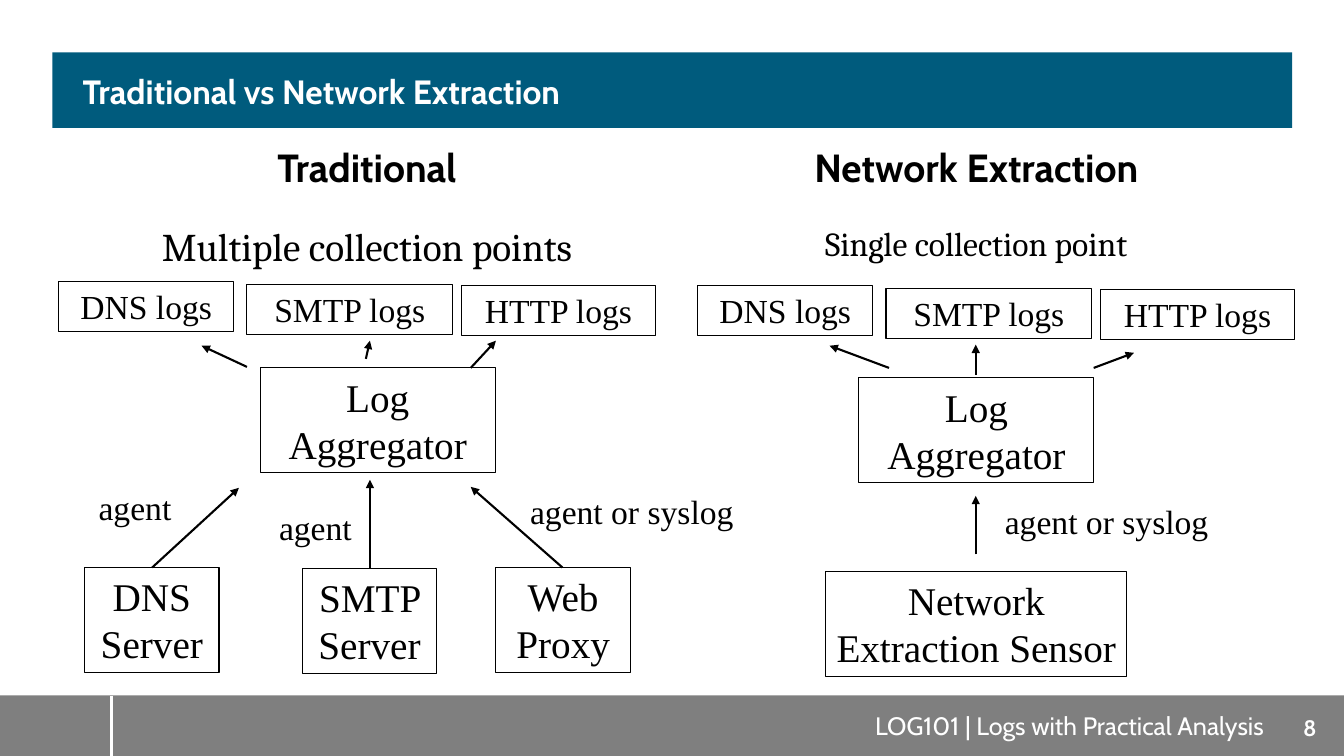
"""Build the slide that compares traditional log collection with network extraction."""
import dataclasses
import typing

import pptx
import pptx.dml.color
import pptx.enum.shapes
import pptx.enum.text
import pptx.oxml.ns
import pptx.oxml.xmlchemy
import pptx.util
from lxml import etree

WIDTH, HEIGHT = pptx.util.Inches(13.33), pptx.util.Inches(7.5)
COLUMNS, ROWS = 160, 90

BLACK = pptx.dml.color.RGBColor(0x00, 0x00, 0x00)
WHITE = pptx.dml.color.RGBColor(0xFF, 0xFF, 0xFF)
GRAY = pptx.dml.color.RGBColor(0x7F, 0x7F, 0x7F)
TEAL = pptx.dml.color.RGBColor(0x00, 0x5B, 0x7D)

RECTANGLE = pptx.enum.shapes.MSO_SHAPE.RECTANGLE
STRAIGHT = pptx.enum.shapes.MSO_CONNECTOR.STRAIGHT
ALIGN = pptx.enum.text.PP_ALIGN
ANCHOR = pptx.enum.text.MSO_ANCHOR
AUTO_SIZE = pptx.enum.text.MSO_AUTO_SIZE


class Area(typing.NamedTuple):
    """Place and size in grid columns and rows."""
    left: float
    top: float
    width: float
    height: float


class Arrow(typing.NamedTuple):
    """Start and end of an arrow in grid columns and rows."""
    from_column: float
    from_row: float
    to_column: float
    to_row: float


@dataclasses.dataclass(frozen=True)
class Style:
    """Look of a text."""
    font: str
    size: int
    color: pptx.dml.color.RGBColor = BLACK
    bold: bool = False
    align: ALIGN = ALIGN.CENTER
    anchor: ANCHOR = ANCHOR.TOP
    line_spacing: float = 1.0


@dataclasses.dataclass(frozen=True)
class Item:
    """Text in an area of the slide."""
    text: str
    area: Area
    style: Style


TITLE = Style("Cabin", 24, WHITE, True, ALIGN.LEFT, ANCHOR.MIDDLE, 0.9)
HEADING = Style("Cabin", 28, bold=True, line_spacing=0.9)
SUMMARY = Style("Cambria", 28, line_spacing=0.9)
SMALL_SUMMARY = dataclasses.replace(SUMMARY, size=24)
FOOTER = Style("Cabin", 18, WHITE, align=ALIGN.RIGHT)
NUMBER = Style("Cabin", 16, WHITE, True, anchor=ANCHOR.MIDDLE)
NODE = Style("Times New Roman", 28)
LOG = Style("Times New Roman", 24)
LABEL = dataclasses.replace(LOG, align=ALIGN.LEFT)

NODE_HEIGHT, LINE_HEIGHT = 12.48, 6
LEFT_COLUMN, LEFT_WIDTH = 8.64, 70.08
RIGHT_COLUMN, RIGHT_WIDTH = 81, 70.44
HEADING_ROW, HEADING_HEIGHT = 17.04, 7.8
SUMMARY_ROW, SUMMARY_HEIGHT = 26.52, 54.72

PLACEHOLDERS = [
    Item("Traditional vs Network Extraction", Area(8.64, 6.24, 142.8, 9), TITLE),
    Item("Traditional", Area(LEFT_COLUMN, HEADING_ROW, LEFT_WIDTH, HEADING_HEIGHT), HEADING),
    Item("Multiple collection points",
         Area(LEFT_COLUMN, SUMMARY_ROW, LEFT_WIDTH, SUMMARY_HEIGHT), SUMMARY),
    Item("Network Extraction",
         Area(RIGHT_COLUMN, HEADING_ROW, RIGHT_WIDTH, HEADING_HEIGHT), HEADING),
    Item("Single collection point",
         Area(RIGHT_COLUMN, SUMMARY_ROW, RIGHT_WIDTH, SUMMARY_HEIGHT), SMALL_SUMMARY),
]
NODES = [
    Item("DNS Server", Area(10.08, 67.56, 16, NODE_HEIGHT), NODE),
    Item("SMTP Server", Area(36, 67.68, 16, NODE_HEIGHT), NODE),
    Item("Web Proxy", Area(59.04, 67.56, 16, NODE_HEIGHT), NODE),
    Item("Log Aggregator", Area(30.96, 43.8, 28, NODE_HEIGHT), NODE),
    Item("Log Aggregator", Area(102.24, 45, 28, NODE_HEIGHT), NODE),
    Item("Network\nExtraction Sensor", Area(98.28, 68.04, 35.88, NODE_HEIGHT), NODE),
]
LABELS = [
    Item("agent or syslog", Area(118.44, 59.04, 28, LINE_HEIGHT), LABEL),
    Item("agent or syslog", Area(61.92, 57.84, 28, LINE_HEIGHT), LABEL),
    Item("agent", Area(10.56, 57.36, 11.52, LINE_HEIGHT), LABEL),
    Item("agent", Area(32.04, 59.76, 11.52, LINE_HEIGHT), LABEL),
]
FOOTERS = [
    Item("LOG101 | Logs with Practical Analysis", Area(71.64, 84, 80, 4.8), FOOTER),
    Item("8", Area(151.68, 83.04, 8.5, 7.2), NUMBER),
]
LOG_ORIGINS = [(6.96, 33.48), (83.04, 33.96)]
LOG_BOXES = [
    Item("DNS logs", Area(0, 0, 20.88, LINE_HEIGHT), LOG),
    Item("SMTP logs", Area(22.44, 0.36, 24.48, LINE_HEIGHT), LOG),
    Item("HTTP logs", Area(48, 0.48, 23.04, LINE_HEIGHT), LOG),
]
COLLECTING_ARROWS = [
    Arrow(66.96, 67.56, 56.04, 57.96),
    Arrow(44.04, 67.68, 44.04, 57.12),
    Arrow(18.12, 67.56, 28.44, 58.08),
    Arrow(116.16, 66, 116.16, 59.04),
]
LOG_ARROWS = [
    Arrow(56.04, 43.8, 59.04, 40.56),
    Arrow(43.56, 42.72, 44.04, 40.56),
    Arrow(29.4, 43.68, 24, 41.16),
    Arrow(105.84, 43.8, 98.76, 41.16),
    Arrow(116.16, 44.64, 116.16, 41.04),
    Arrow(130.2, 43.8, 135, 42),
]


def across(columns: float) -> int:
    """Turn grid columns into a length."""
    return round(WIDTH * columns / COLUMNS)


def down(rows: float) -> int:
    """Turn grid rows into a length."""
    return round(HEIGHT * rows / ROWS)


def measure(area: Area) -> tuple[int, int, int, int]:
    """Turn a grid area into lengths."""
    return across(area.left), down(area.top), across(area.width), down(area.height)


def write(shape: typing.Any, item: Item, auto_size: AUTO_SIZE) -> None:
    """Write the text of an item into a shape."""
    style, frame = item.style, shape.text_frame
    frame.word_wrap = True
    frame.auto_size = auto_size
    frame.vertical_anchor = style.anchor
    for index, line in enumerate(item.text.split("\n")):
        paragraph = frame.add_paragraph() if index else frame.paragraphs[0]
        paragraph.alignment = style.align
        paragraph.line_spacing = style.line_spacing
        paragraph.space_before = pptx.util.Pt(0)
        run = paragraph.add_run()
        run.text = line
        run.font.name = style.font
        run.font.size = pptx.util.Pt(style.size)
        run.font.bold = style.bold
        run.font.color.rgb = style.color


def add_band(slide: typing.Any, area: Area, color: pptx.dml.color.RGBColor) -> None:
    """Add a plain coloured band."""
    shape = slide.shapes.add_shape(RECTANGLE, *measure(area))
    shape.shadow.inherit = False
    shape.fill.solid()
    shape.fill.fore_color.rgb = color
    shape.line.fill.background()


def add_box(slide: typing.Any, item: Item) -> None:
    """Add an outlined box with text."""
    shape = slide.shapes.add_shape(RECTANGLE, *measure(item.area))
    shape.shadow.inherit = False
    shape.fill.background()
    shape.line.color.rgb = BLACK
    shape.line.width = pptx.util.Pt(0.75)
    write(shape, item, AUTO_SIZE.SHAPE_TO_FIT_TEXT)


def add_label(slide: typing.Any, item: Item) -> None:
    """Add a text box."""
    fits = item.style.anchor == ANCHOR.TOP
    shape = slide.shapes.add_textbox(*measure(item.area))
    write(shape, item, AUTO_SIZE.SHAPE_TO_FIT_TEXT if fits else AUTO_SIZE.NONE)


def add_line(slide: typing.Any, ends: Arrow, color: pptx.dml.color.RGBColor,
             width: float, head: bool = True) -> None:
    """Add a straight line, with or without an arrowhead."""
    connector = slide.shapes.add_connector(
        STRAIGHT, across(ends.from_column), down(ends.from_row),
        across(ends.to_column), down(ends.to_row))
    connector.line.color.rgb = color
    connector.line.width = pptx.util.Pt(width)
    properties = connector._element.spPr
    if head:
        outline = properties.find(pptx.oxml.ns.qn("a:ln"))
        etree.SubElement(outline, pptx.oxml.ns.qn("a:tailEnd"), type="triangle")
    etree.SubElement(properties, pptx.oxml.ns.qn("a:effectLst"))


def fill_placeholder(slide: typing.Any, shape: typing.Any, item: Item) -> None:
    """Move a placeholder to the front, place it and write its text without a bullet."""
    slide.shapes._spTree.append(shape._element)
    shape.left, shape.top, shape.width, shape.height = measure(item.area)
    settings = shape.text_frame.paragraphs[0]._p.get_or_add_pPr()
    settings.set("marL", "0")
    settings.set("indent", "0")
    etree.SubElement(settings, pptx.oxml.ns.qn("a:buNone"))
    write(shape, item, AUTO_SIZE.NONE)


def main() -> None:
    """Build and save the presentation."""
    presentation = pptx.Presentation()
    presentation.slide_width, presentation.slide_height = WIDTH, HEIGHT
    slide = presentation.slides.add_slide(presentation.slide_layouts.get_by_name("Comparison"))
    placeholders = list(slide.placeholders)
    add_band(slide, Area(0, 82.8, COLUMNS, 7.2), GRAY)
    add_line(slide, Arrow(13.32, 82.8, 13.32, ROWS), WHITE, 2, head=False)
    for item in FOOTERS:
        add_label(slide, item)
    add_band(slide, Area(6.24, 6.24, 147.6, 9), TEAL)
    for shape, item in zip(placeholders, PLACEHOLDERS):
        fill_placeholder(slide, shape, item)
    slide.shapes.title.text_frame.margin_top = down(0.84)
    slide.shapes.title.text_frame.margin_bottom = 0
    for item in NODES:
        add_box(slide, item)
    for arrow in COLLECTING_ARROWS:
        add_line(slide, arrow, BLACK, 1.5)
    for item in LABELS:
        add_label(slide, item)
    for column, row in LOG_ORIGINS:
        for item in LOG_BOXES:
            area = item.area._replace(left=column + item.area.left, top=row + item.area.top)
            add_box(slide, dataclasses.replace(item, area=area))
    for arrow in LOG_ARROWS:
        add_line(slide, arrow, BLACK, 1.5)
    presentation.save("out.pptx")


if __name__ == "__main__":
    main()
